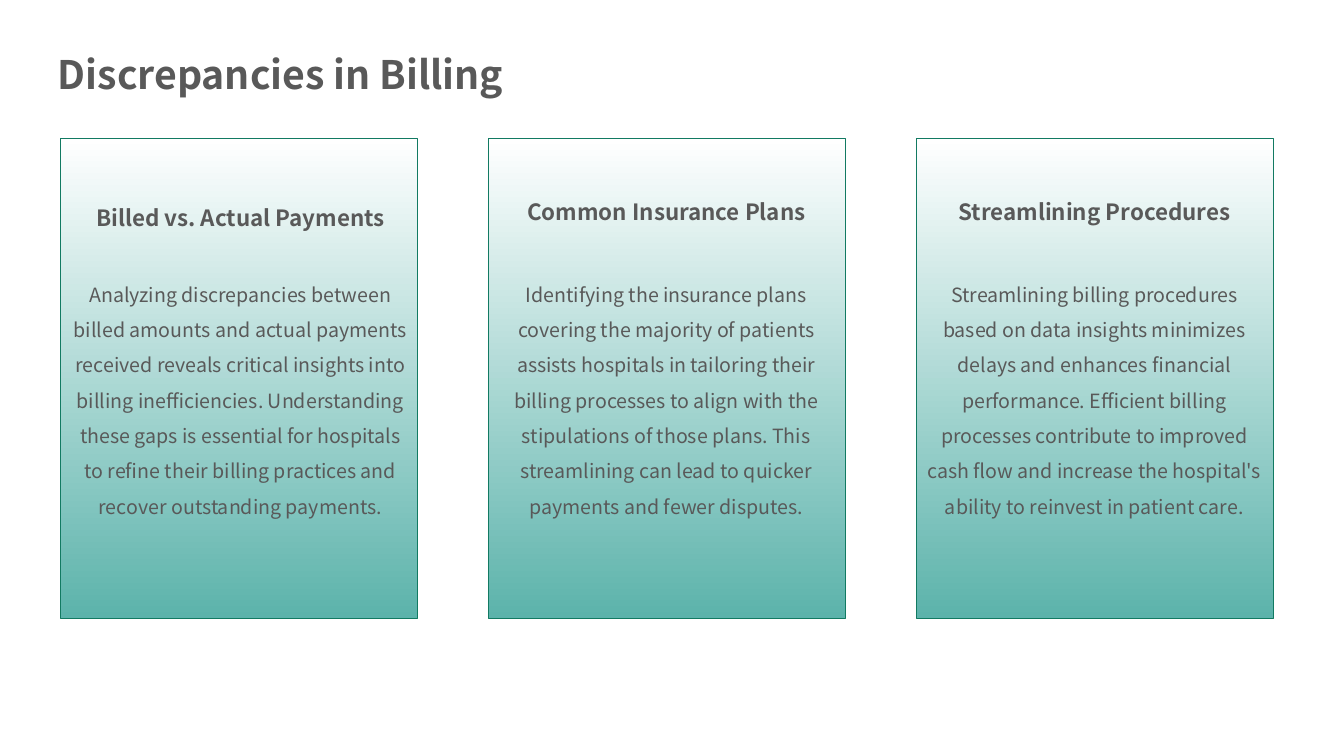
from pptx import Presentation
from pptx.dml.color import RGBColor
from pptx.enum.shapes import MSO_SHAPE
from pptx.enum.text import MSO_AUTO_SIZE, PP_ALIGN
from pptx.util import Pt

FONT = "Noto Sans CJK SC"
GREY = RGBColor(0x59, 0x59, 0x59)
TEAL = RGBColor(0x5C, 0xB3, 0xAB)
WHITE = RGBColor(0xFF, 0xFF, 0xFF)
GREEN = RGBColor(0x12, 0x7A, 0x62)

SCALE = 914400 / 100.8  # EMU per px
SLIDE_W, SLIDE_H = 1344, 756
CARD_X, CARD_Y, CARD_W, CARD_H, CARD_PITCH = 60, 138, 357, 480, 428

# Heading, heading offset from card top, text offset from card left, body
CARDS = [
    ("Billed vs. Actual Payments", 56, 2,
     "Analyzing discrepancies between billed amounts and actual payments "
     "received reveals critical insights into billing inefficiencies. "
     "Understanding these gaps is essential for hospitals to refine their "
     "billing practices and recover outstanding payments."),
    ("Common Insurance Plans", 50, 0,
     "Identifying the insurance plans covering the majority of patients "
     "assists hospitals in tailoring their billing processes to align with "
     "the stipulations of those plans. This streamlining can lead to quicker "
     "payments and fewer disputes."),
    ("Streamlining Procedures", 50, 0,
     "Streamlining billing procedures based on data insights minimizes delays "
     "and enhances financial performance. Efficient billing processes "
     "contribute to improved cash flow and increase the hospital's ability "
     "to reinvest in patient care."),
]


def px(*lengths):
    return [round(n * SCALE) for n in lengths]


def add_text(s, box, text, size, bold=False, align=PP_ALIGN.LEFT, spacing=1.0, before=0):
    tf = s.shapes.add_textbox(*px(*box)).text_frame
    tf.word_wrap = True
    tf.auto_size = MSO_AUTO_SIZE.SHAPE_TO_FIT_TEXT
    p = tf.paragraphs[0]
    p.alignment = align
    p.line_spacing = spacing
    p.space_before = Pt(before)
    r = p.add_run()
    r.text = text
    r.font.name = FONT
    r.font.size = Pt(size)
    r.font.bold = bold
    r.font.color.rgb = GREY


def add_card(s, box, heading, heading_dy, text_dx, body):
    x, y, w, h = box
    # Panel fading from teal at the bottom to white at the top
    sp = s.shapes.add_shape(MSO_SHAPE.RECTANGLE, *px(x, y, w, h))
    sp.shadow.inherit = False
    sp.fill.gradient()
    sp.fill.gradient_angle = 90
    for stop, color, position in zip(sp.fill.gradient_stops, (TEAL, WHITE), (0, 1)):
        stop.color.rgb = color
        stop.position = position
    sp.line.color.rgb = GREEN
    sp.line.width = Pt(0.5)
    # Body and heading
    add_text(s, (x + text_dx, y + 128, w, 154), body, 14,
             align=PP_ALIGN.CENTER, spacing=1.5, before=2.8)
    add_text(s, (x + text_dx, y + heading_dy, w, 40), heading, 16, bold=True,
             align=PP_ALIGN.CENTER, spacing=1.2, before=3.2)


def build_slide(prs):
    s = prs.slides.add_slide(prs.slide_layouts[6])
    # Title
    add_text(s, (48, 45, 952, 57), "Discrepancies in Billing", 28, bold=True)
    # Row of cards
    for i, card in enumerate(CARDS):
        add_card(s, (CARD_X + i * CARD_PITCH, CARD_Y, CARD_W, CARD_H), *card)


def main():
    prs = Presentation()
    prs.slide_width, prs.slide_height = px(SLIDE_W, SLIDE_H)
    build_slide(prs)
    prs.save("out.pptx")


if __name__ == "__main__":
    main()
